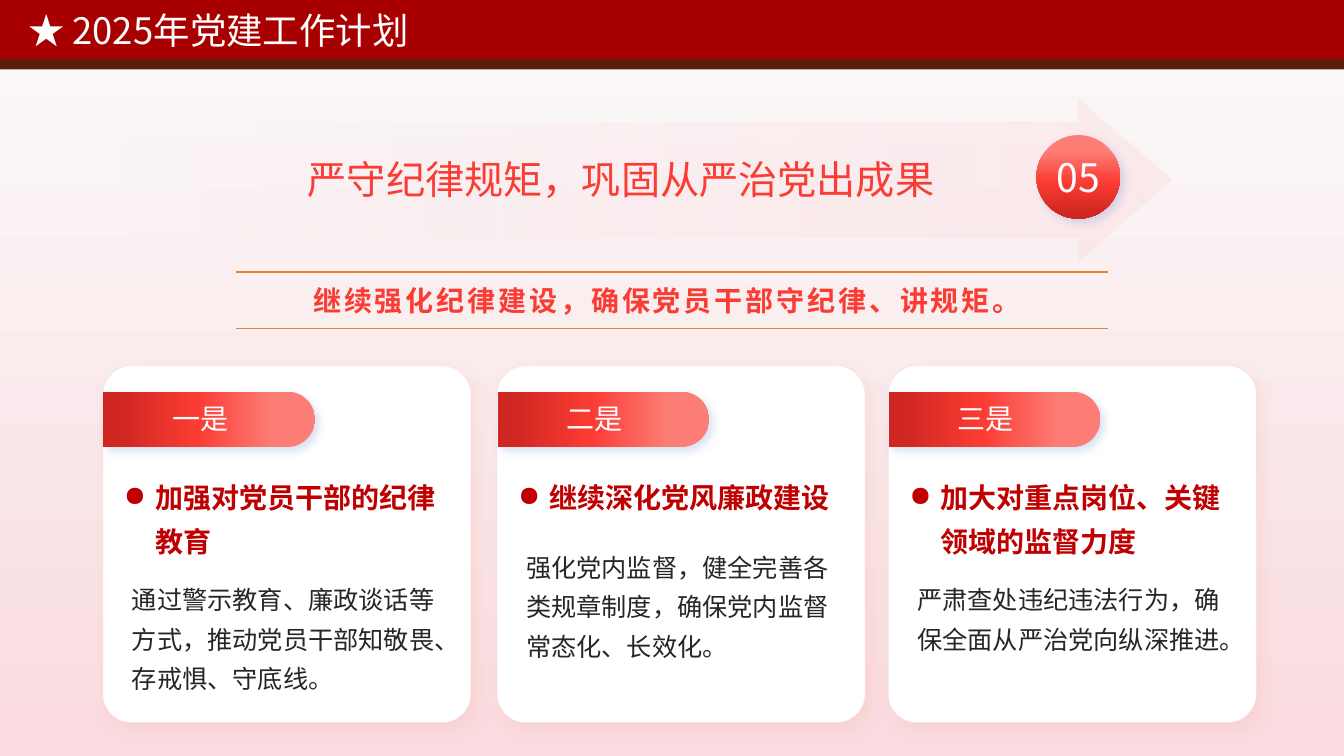
from lxml.etree import SubElement
from pptx import Presentation
from pptx.dml.color import RGBColor
from pptx.enum.shapes import MSO_CONNECTOR, MSO_SHAPE
from pptx.enum.text import MSO_ANCHOR, MSO_AUTO_SIZE, PP_ALIGN
from pptx.oxml.ns import qn
from pptx.util import Inches, Pt

HEADING = "Noto Sans CJK SC"
BODY = "Noto Sans CJK JP"
# Gradient stops: position, colour, opacity (all but colour in percent)
PAGE_PINK = [(0, "FAFAFA", 100), (100, "FADBDF", 44)]
ARROW_PINK = [(19, "FADBDF", 0), (100, "FADBDF", 44)]
GLOSSY_RED = [(19, "FD7E76", 100), (56, "FB3C34", 100), (94, "CE2620", 100)]
TEXT_RED = [(33, "FB3C34", 100), (80, "CE2620", 100)]
# Shadows: colour, opacity in percent, blur and distance in points
BLUE_SHADOW = ("4874CB", 20, 6, 4)
ORANGE_SHADOW = ("EE822F", 10, 10, 5)


def paint(fill, colour, element=None, angle=90):
    """Fill with a hex colour, or with gradient stops inside element."""
    fill.solid()
    if isinstance(colour, str):
        fill.fore_color.rgb = RGBColor.from_string(colour)
        return
    solid = element.find(".//" + qn("a:solidFill"))
    parent = solid.getparent()
    gradient = SubElement(parent, qn("a:gradFill"), rotWithShape="1")
    parent.replace(solid, gradient)
    stops = SubElement(gradient, qn("a:gsLst"))
    for position, value, opacity in colour:
        stop = SubElement(stops, qn("a:gs"), pos=str(position * 1000))
        tint = SubElement(stop, qn("a:srgbClr"), val=value)
        SubElement(tint, qn("a:alpha"), val=str(opacity * 1000))
    SubElement(gradient, qn("a:lin"), ang=str(angle * 60000), scaled="0")


def write(shape, text, size, colour, name=HEADING, bold=False, align=None,
          line_spacing=None, bullet=None, tracking=0):
    """Write one paragraph into a shape."""
    paragraph = shape.text_frame.paragraphs[0]
    paragraph.text = text
    paragraph.alignment = align
    paragraph.line_spacing = line_spacing
    if bullet:
        properties = paragraph._p.get_or_add_pPr()
        properties.set("marL", str(Inches(0.31)))
        properties.set("indent", str(-Inches(0.31)))
        SubElement(properties, qn("a:buChar"), char=bullet)
    font = paragraph.font
    font.size, font.bold, font.name = Pt(size), bold, name
    paint(font.fill, colour, paragraph._p)
    defaults = paragraph._p.find(".//" + qn("a:defRPr"))
    defaults.set("spc", str(tracking * 100))
    SubElement(defaults, qn("a:ea"), typeface=name)


presentation = Presentation()
presentation.slide_width = Inches(13.33)
presentation.slide_height = Inches(7.5)
slide = presentation.slides.add_slide(presentation.slide_layouts[6])
paint(slide.background.fill, PAGE_PINK, slide._element)

# Cards: left, label, title, top of body, body
cards = [
    (1.02, "一是", "加强对党员干部的纪律教育", 5.66,
     "通过警示教育、廉政谈话等方式，推动党员干部知敬畏、存戒惧、守底线。"),
    (4.93, "二是", "继续深化党风廉政建设", 5.34,
     "强化党内监督，健全完善各类规章制度，确保党内监督常态化、长效化。"),
    (8.81, "三是", "加大对重点岗位、关键领域的监督力度", 5.66,
     "严肃查处违纪违法行为，确保全面从严治党向纵深推进。"),
]

# Shapes: preset, box, adjustments, fill, gradient angle, shadow, rotation
shapes = [
    (MSO_SHAPE.RECTANGLE, (0, 0.11, 13.35, 0.58), [], "5F1E0C", 0, None, 0),
    (MSO_SHAPE.RECTANGLE, (0, 0, 13.35, 0.58), [], "A80000", 0, None, 0),
    (MSO_SHAPE.RIGHT_ARROW, (-1.35, 0.98, 12.97, 1.6), [0.71, 0.58],
     ARROW_PINK, 0, None, 0),
]
for left, *_ in cards:
    shapes += [
        (MSO_SHAPE.ROUNDED_RECTANGLE, (left, 3.63, 3.65, 3.54), [0.08],
         "FFFFFF", 0, ORANGE_SHADOW, 0),
        (MSO_SHAPE.ROUND_2_SAME_RECTANGLE, (left + 0.78, 3.11, 0.55, 2.1),
         [0.5, 0], GLOSSY_RED, 90, BLUE_SHADOW, 90),
    ]
shapes.append((MSO_SHAPE.OVAL, (10.28, 1.34, 0.83, 0.83), [],
               GLOSSY_RED, 90, BLUE_SHADOW, 0))

for preset, box, adjustments, colour, angle, shadow, rotation in shapes:
    shape = slide.shapes.add_shape(preset, *map(Inches, box))
    shape.rotation = rotation
    for index, value in enumerate(adjustments):
        shape.adjustments[index] = value
    shape.line.fill.background()
    if preset == MSO_SHAPE.ROUNDED_RECTANGLE:
        paint(shape.line.fill, "FADBDF")
        shape.line.width = Pt(0.25)
    paint(shape.fill, colour, shape._element.spPr, angle)
    shape.shadow.inherit = False
    if shadow:
        tone, opacity, blur, distance = shadow
        outer = SubElement(
            shape._element.spPr.find(qn("a:effectLst")), qn("a:outerShdw"),
            blurRad=str(Pt(blur)), dist=str(Pt(distance)), dir="2700000",
            algn="tl", rotWithShape="0")
        tint = SubElement(outer, qn("a:srgbClr"), val=tone)
        SubElement(tint, qn("a:alpha"), val=str(opacity * 1000))

# Section number in the circle, the last shape drawn
shape.text_frame.word_wrap = False
shape.text_frame.vertical_anchor = MSO_ANCHOR.MIDDLE
write(shape, "05", 28, "FFFFFF", align=PP_ALIGN.CENTER)

# Rules above and below the subtitle
for top in (2.7, 3.26):
    rule = slide.shapes.add_connector(
        MSO_CONNECTOR.STRAIGHT, Inches(2.34), Inches(top), Inches(10.99), Inches(top))
    paint(rule.line.fill, "EE822F")
    rule.line.width = Pt(1)
    SubElement(rule._element.spPr, qn("a:effectLst"))

# Texts: box, wording, size, colour, further settings
texts = [
    ((0.18, 0.08, 11.94, 0.49), "★ 2025年党建工作计划", 26, "FFFFFF",
     dict(line_spacing=0.9)),
    ((2.04, 1.49, 8.24, 0.57), "严守纪律规矩，巩固从严治党出成果", 28, TEXT_RED,
     dict(align=PP_ALIGN.CENTER)),
    ((2.34, 2.76, 8.55, 0.44), "继续强化纪律建设，确保党员干部守纪律、讲规矩。", 20,
     TEXT_RED, dict(name=BODY, bold=True, align=PP_ALIGN.CENTER, tracking=2)),
]
for left, label, title, body_top, body in cards:
    texts += [
        ((left + 0.59, 3.93, 1.55, 0.44), label, 20, "FFFFFF", {}),
        ((left + 0.11, 4.62, 3.44, body_top - 4.69), title, 20, "C00000",
         dict(name=BODY, bold=True, line_spacing=1.3, bullet="●")),
        ((left + 0.19, body_top, 3.27, 1.28), body, 18, "262626",
         dict(name=BODY, line_spacing=1.3)),
    ]
for box, wording, size, colour, settings in texts:
    text_box = slide.shapes.add_textbox(*map(Inches, box))
    text_box.text_frame.word_wrap = True
    text_box.text_frame.auto_size = MSO_AUTO_SIZE.SHAPE_TO_FIT_TEXT
    write(text_box, wording, size, colour, **settings)

presentation.save("out.pptx")
